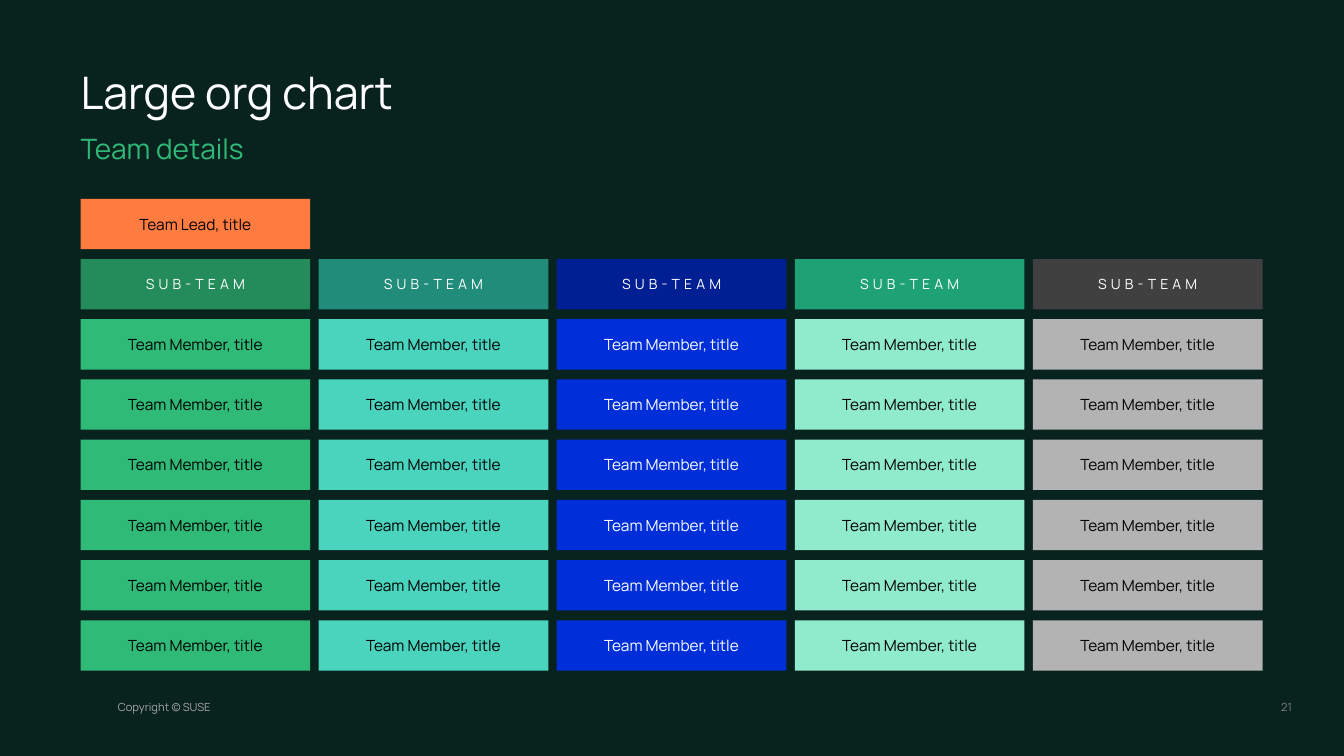
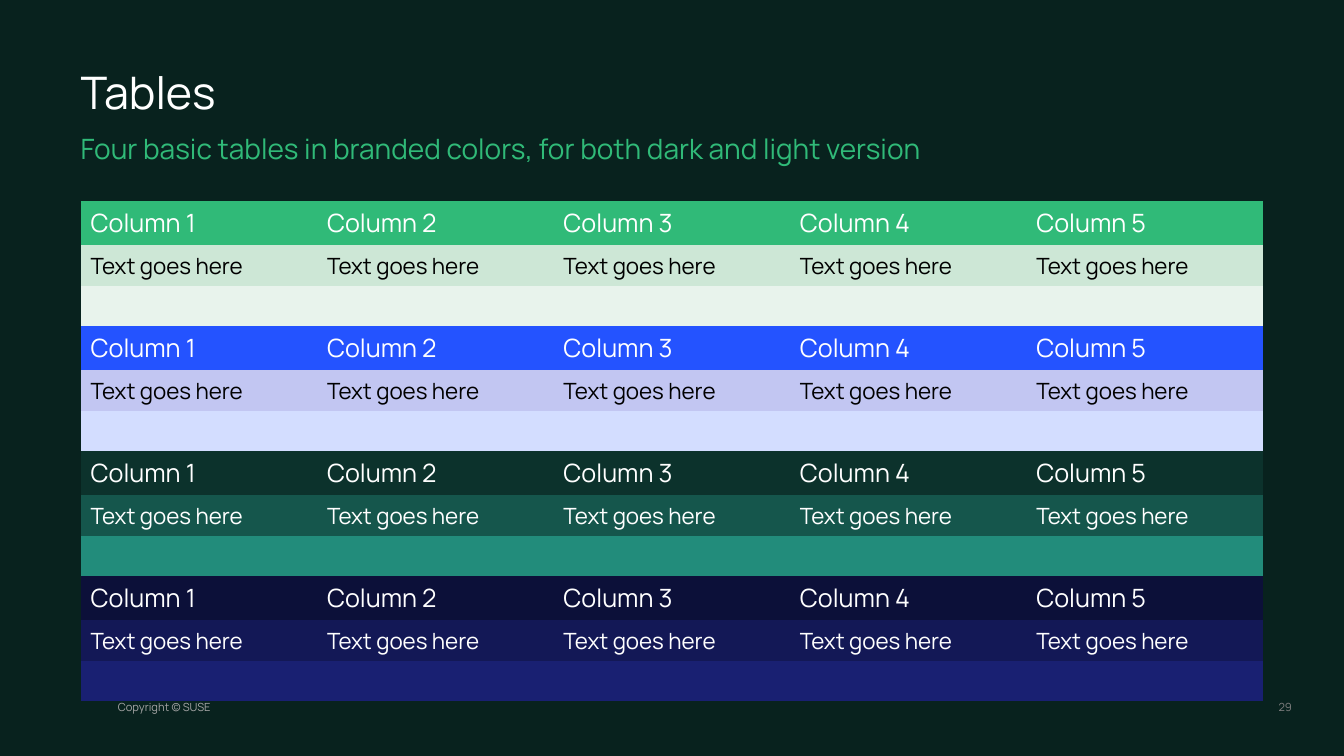
from pptx import Presentation
from pptx import util as u
from pptx.dml.color import RGBColor
from pptx.enum import shapes, text
from pptx.oxml import ns

FONT = "Manrope"
WHITE, BLACK, GREEN = "FFFFFF", "000000", "30BA78"
BACKGROUND = "08221E"
NO_GRID_STYLE = "{2D5ABB26-0587-4C30-8999-92F81FD0307C}"
LEFT, WIDTH = 2.03, 29.79

SUB_TEAMS = [
    ("248C5A", GREEN, BLACK),
    ("228C7B", "4AD4BE", BLACK),
    ("001F92", "002FDA", WHITE),
    ("1DA175", "90EBCD", BLACK),
    ("404040", "B3B3B3", BLACK),
]
MEMBERS = ["Team Member, title"] * 6

TABLE_THEMES = [
    (GREEN, "CDE7D6", "E8F3EC", BLACK),
    ("2453FF", "C2C6F2", "D3DDFF", BLACK),
    ("0C322C", "15564C", "228C7B", WHITE),
    ("0C1039", "131856", "192072", WHITE),
]
HEADINGS = [f"Column {number}" for number in range(1, 6)]
ENTRIES = ["Text goes here"] * 5
ROW_HEIGHTS = [1.12, 1.03, 1.0]


def color(hex_value):
    return RGBColor.from_string(hex_value)


def paint(target, hex_value):
    target.fill.solid()
    target.fill.fore_color.rgb = color(hex_value)


def write(frame, words, size, ink, align=text.PP_ALIGN.LEFT):
    frame.text = words
    paragraph = frame.paragraphs[0]
    paragraph.alignment = align
    for run in paragraph.runs:
        run.font.name = FONT
        run.font.size = u.Pt(size)
        run.font.color.rgb = color(ink)
    return paragraph


def add_label(slide, box, words, size, ink, align=text.PP_ALIGN.LEFT,
              anchor=text.MSO_ANCHOR.TOP):
    frame = slide.shapes.add_textbox(*map(u.Cm, box)).text_frame
    frame.margin_left = frame.margin_right = 0
    frame.margin_top = frame.margin_bottom = 0
    frame.word_wrap = True
    frame.auto_size = text.MSO_AUTO_SIZE.SHAPE_TO_FIT_TEXT
    frame.vertical_anchor = anchor
    return write(frame, words, size, ink, align)


def add_page(prs, title, subtitle, page_number):
    slide = prs.slides.add_slide(prs.slide_layouts[6])
    add_label(slide, (2.97, 17.65, 3.43, 0.33), "Copyright © SUSE", 8, "A6A6A6")
    subtitle_line = add_label(slide, (LEFT, 3.23, WIDTH, 0.91), subtitle, 20, GREEN)
    subtitle_line.line_spacing = 1.1
    title_line = add_label(slide, (LEFT, 1.75, WIDTH, 1.27), title, 32, WHITE,
                           anchor=text.MSO_ANCHOR.MIDDLE)
    title_line.line_spacing = 0.9
    add_label(slide, (31.75, 17.65, 0.81, 0.33), page_number, 8, "808080",
              text.PP_ALIGN.RIGHT)
    return slide


def add_card(parent, box, words, fill, ink, size=11, tracking=0):
    card = parent.shapes.add_shape(shapes.MSO_SHAPE.RECTANGLE, *map(u.Cm, box))
    card.shadow.inherit = False
    card.line.fill.background()
    paint(card, fill)
    card.text_frame.word_wrap = True
    card.text_frame.vertical_anchor = text.MSO_ANCHOR.MIDDLE
    line = write(card.text_frame, words, size, ink, text.PP_ALIGN.CENTER)
    if tracking:
        line.runs[0]._r.get_or_add_rPr().set("spc", str(tracking * 100))


def add_org_chart(slide, left, top, width, height):
    column_gap, row_gap = 0.21, 0.25
    columns, rows = len(SUB_TEAMS), len(MEMBERS) + 2
    card_width = (width - column_gap * (columns - 1)) / columns
    card_height = (height - row_gap * (rows - 1)) / rows

    def place(column, row):
        return (left + column * (card_width + column_gap),
                top + row * (card_height + row_gap), card_width, card_height)

    add_card(slide, place(0, 0), "Team Lead, title", "FE7C3F", BLACK)
    for column, (heading_fill, member_fill, ink) in enumerate(SUB_TEAMS):
        team = slide.shapes.add_group_shape()
        add_card(team, place(column, 1), "SUB-TEAM", heading_fill, WHITE, 10, 3)
        for row, member in enumerate(MEMBERS, 2):
            add_card(team, place(column, row), member, member_fill, ink)


def add_color_table(slide, left, top, width, theme):
    heading_fill, entry_fill, empty_fill, entry_ink = theme
    rows = [
        (HEADINGS, heading_fill, 18, WHITE),
        (ENTRIES, entry_fill, 16, entry_ink),
        ([""] * len(HEADINGS), empty_fill, 16, entry_ink),
    ]
    table = slide.shapes.add_table(
        len(rows), len(HEADINGS), u.Cm(left), u.Cm(top), u.Cm(width),
        u.Cm(sum(ROW_HEIGHTS))).table
    table._tbl.tblPr.find(ns.qn("a:tableStyleId")).text = NO_GRID_STYLE
    table.horz_banding = False
    for row, (words, fill, size, ink) in enumerate(rows):
        table.rows[row].height = u.Cm(ROW_HEIGHTS[row])
        for column, entry in enumerate(words):
            cell = table.cell(row, column)
            paint(cell, fill)
            if entry:
                write(cell.text_frame, entry, size, ink)
            else:
                cell.margin_top = cell.margin_bottom = 0


def add_table_stack(slide, left, top, width):
    for position, theme in enumerate(TABLE_THEMES):
        add_color_table(slide, left, top + position * sum(ROW_HEIGHTS), width, theme)


def main():
    prs = Presentation()
    prs.slide_width, prs.slide_height = u.Cm(33.87), u.Cm(19.05)
    paint(prs.slide_master.background, BACKGROUND)

    org_page = add_page(prs, "Large org chart", "Team details", "21")
    add_org_chart(org_page, LEFT, 5.01, WIDTH, 11.89)

    table_page = add_page(
        prs, "Tables",
        "Four basic tables in branded colors, for both dark and light version", "29")
    add_table_stack(table_page, LEFT, 5.06, WIDTH)

    prs.save("out.pptx")


if __name__ == "__main__":
    main()
